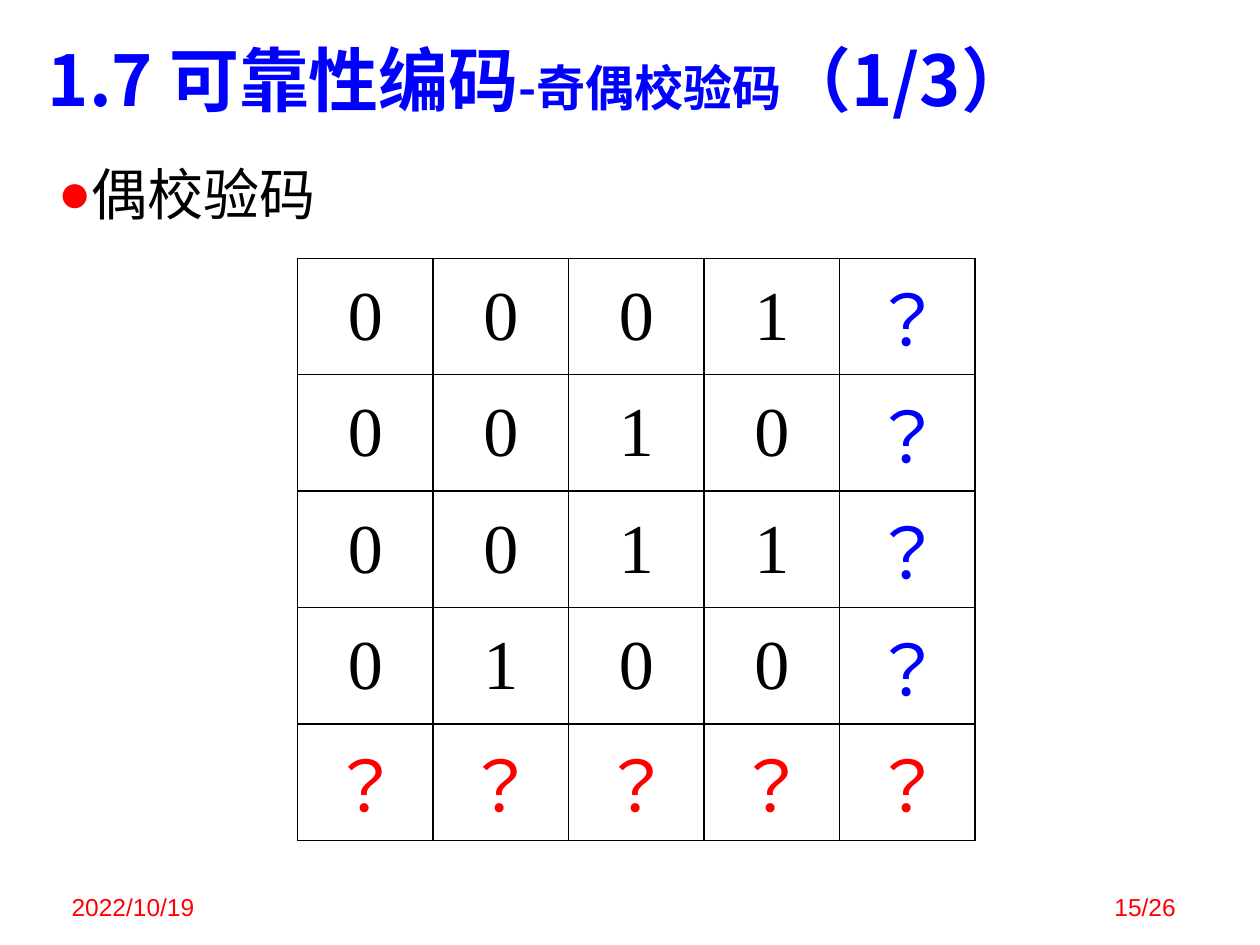
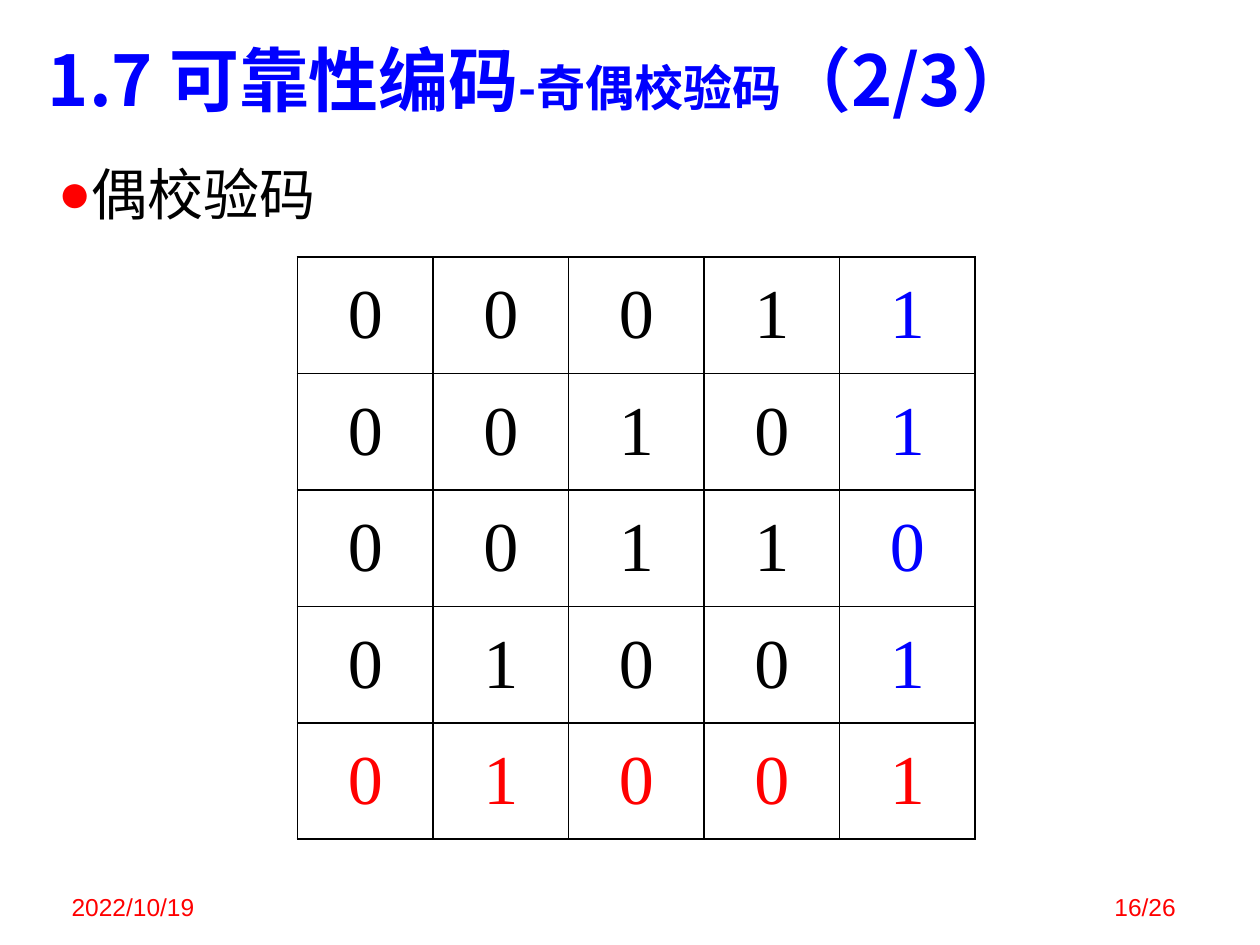
from lxml import etree
from pptx import Presentation
from pptx.dml.color import RGBColor
from pptx.enum.lang import MSO_LANGUAGE_ID
from pptx.enum.text import MSO_ANCHOR, MSO_AUTO_SIZE, PP_ALIGN
from pptx.oxml.ns import qn
from pptx.util import Pt

LEFT, CENTER, RIGHT = PP_ALIGN.LEFT, PP_ALIGN.CENTER, PP_ALIGN.RIGHT
MIDDLE, BOTTOM = MSO_ANCHOR.MIDDLE, MSO_ANCHOR.BOTTOM
NO_FIT = MSO_AUTO_SIZE.NONE
CHINESE = MSO_LANGUAGE_ID.SIMPLIFIED_CHINESE

BLUE = RGBColor(0x00, 0x00, 0xFF)
RED = RGBColor(0xFF, 0x00, 0x00)
BLACK = RGBColor(0x00, 0x00, 0x00)
HEAD_FONT = "Noto Sans CJK JP"

TITLE = {"name": HEAD_FONT, "size": Pt(40), "bold": True}
SUBTITLE = {**TITLE, "size": Pt(28)}
BULLET = {"name": HEAD_FONT, "size": Pt(32), "bold": False}
DIGIT = {"name": "Times New Roman", "size": Pt(40), "bold": False}
FOOTER = {"name": "Arial", "size": Pt(14), "bold": False}

GRID_SIZE = 5
COLUMN_WIDTH, ROW_HEIGHT = 77.47, 66.53

SLIDES = [
    ("（1/3）", "15/26", 147.6, ["0001？", "0010？", "0011？", "0100？", "？？？？？"]),
    ("（2/3）", "16/26", 146.9, ["00011", "00101", "00110", "01001", "01001"]),
]


def add_span(para, text, formats, color):
    span = para.add_run()
    span.text = text
    for name, value in formats.items():
        setattr(span.font, name, value)
    span.font.language_id = CHINESE
    span.font.color.rgb = color
    east_asian = etree.SubElement(span.font._element, qn("a:ea"))
    east_asian.set("typeface", HEAD_FONT)


def set_frame(box, bounds, anchor, alignment):
    box.left, box.top, box.width, box.height = map(Pt, bounds)
    frame = box.text_frame
    for name, value in {"word_wrap": True, "auto_size": NO_FIT, "vertical_anchor": anchor}.items():
        setattr(frame, name, value)
    para = frame.paragraphs[0]
    para.alignment = alignment
    para.space_before = Pt(0)
    return para


deck = Presentation()
deck.slide_width, deck.slide_height = Pt(720), Pt(540)

for part, page_number, table_top, rows in SLIDES:
    page = deck.slides.add_slide(deck.slide_layouts[1])

    para = set_frame(page.shapes.title, (20.2, 17.3, 684, 55.4), MIDDLE, LEFT)
    add_span(para, "1.7 可靠性编码", TITLE, BLUE)
    add_span(para, "-奇偶校验码", SUBTITLE, BLUE)
    add_span(para, part, TITLE, BLUE)

    para = set_frame(page.placeholders[1], (25.9, 87.1, 669, 46), MIDDLE, LEFT)
    properties = para._p.get_or_add_pPr()
    properties.set("marL", str(Pt(18)))
    properties.set("indent", str(-Pt(18)))
    bullet_color = etree.SubElement(properties, qn("a:buClr"))
    etree.SubElement(bullet_color, qn("a:srgbClr")).set("val", str(RED))
    etree.SubElement(properties, qn("a:buFont")).set("typeface", "Arial")
    etree.SubElement(properties, qn("a:buChar")).set("char", "●")
    add_span(para, "偶校验码", BULLET, BLACK)

    table = page.shapes.add_table(
        GRID_SIZE, GRID_SIZE, Pt(170), Pt(table_top),
        Pt(GRID_SIZE * COLUMN_WIDTH), Pt(GRID_SIZE * ROW_HEIGHT),
    ).table
    table.first_row = table.horz_banding = False
    for column in table.columns:
        column.width = Pt(COLUMN_WIDTH)
    for row_index, bits in enumerate(rows):
        table.rows[row_index].height = Pt(ROW_HEIGHT)
        for column_index, bit in enumerate(bits):
            cell = table.cell(row_index, column_index)
            cell.vertical_anchor = MIDDLE
            cell_properties = cell._tc.get_or_add_tcPr()
            for side in ("lnL", "lnR", "lnT", "lnB"):
                border = etree.SubElement(cell_properties, qn(f"a:{side}"), w=str(Pt(1)))
                fill = etree.SubElement(border, qn("a:solidFill"))
                etree.SubElement(fill, qn("a:srgbClr")).set("val", str(BLACK))
            cell.fill.background()
            if row_index == GRID_SIZE - 1:
                color = RED
            elif column_index == GRID_SIZE - 1:
                color = BLUE
            else:
                color = BLACK
            para = cell.text_frame.paragraphs[0]
            para.alignment = CENTER
            add_span(para, bit, DIGIT, color)

    for text, left, alignment in (("2022/10/19", 33.8, LEFT), (page_number, 529.2, RIGHT)):
        bounds = (left, 493.9, 149.8, 36)
        box = page.shapes.add_textbox(*map(Pt, bounds))
        add_span(set_frame(box, bounds, BOTTOM, alignment), text, FOOTER, RED)

deck.save("out.pptx")
